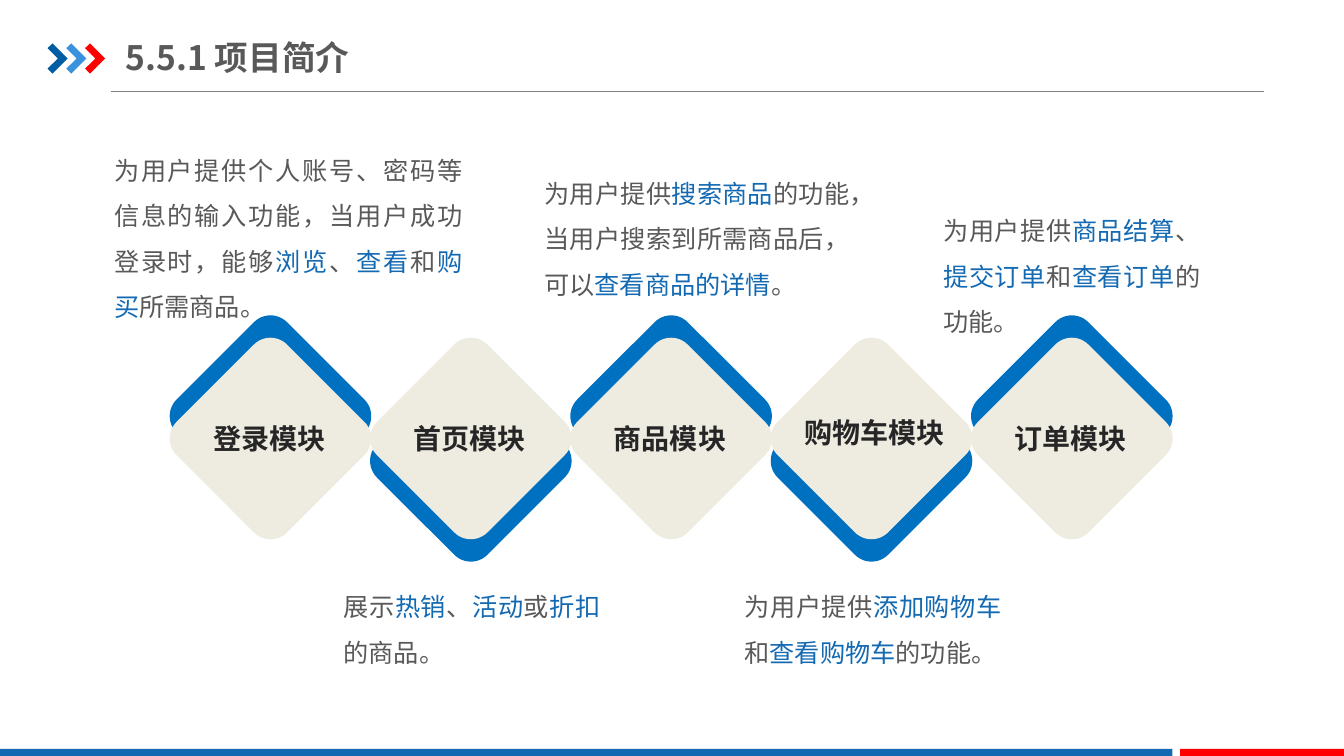
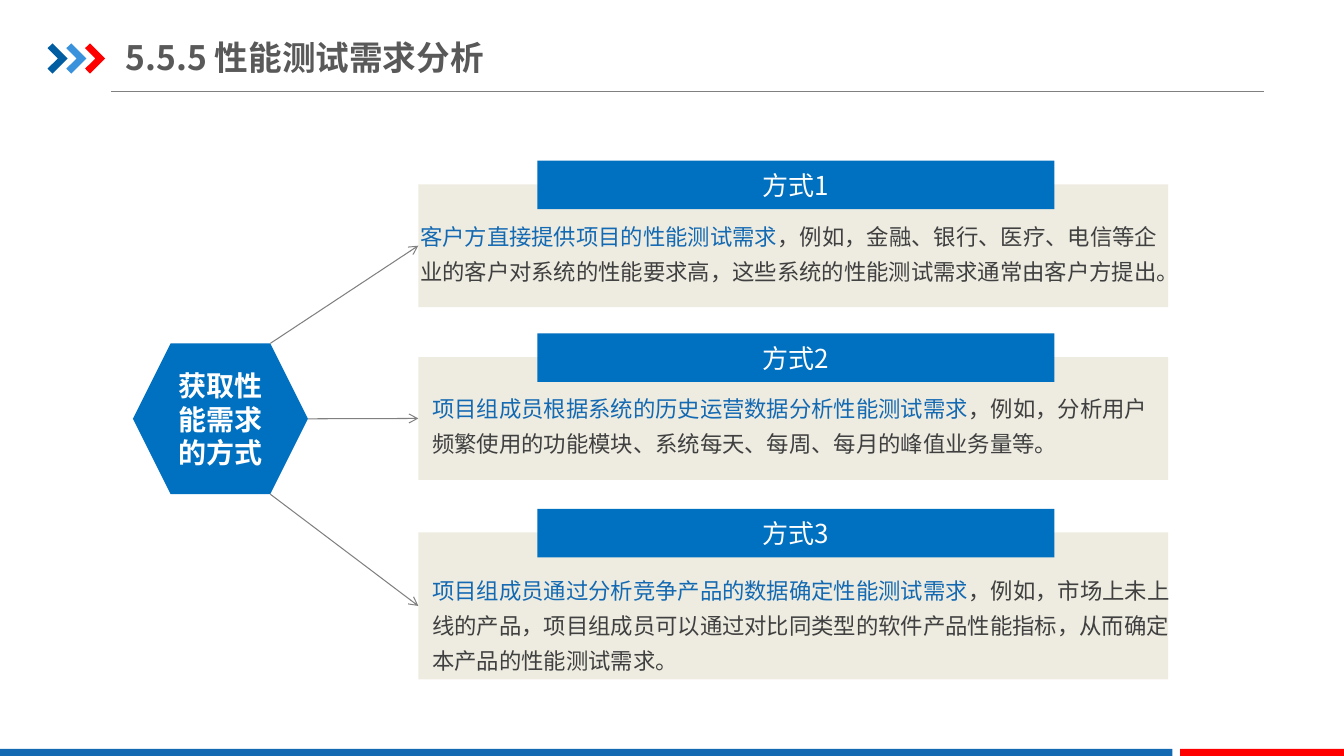
from dataclasses import dataclass
from typing import Any

from lxml import etree
from pptx import Presentation
from pptx.dml.color import RGBColor
from pptx.enum.shapes import MSO_CONNECTOR, MSO_SHAPE
from pptx.enum.text import MSO_ANCHOR, PP_ALIGN
from pptx.oxml.ns import qn
from pptx.util import Pt

RECTANGLE = MSO_SHAPE.RECTANGLE
ROUNDED = MSO_SHAPE.ROUNDED_RECTANGLE
HEXAGON = MSO_SHAPE.HEXAGON
STRAIGHT = MSO_CONNECTOR.STRAIGHT
MIDDLE, TOP = MSO_ANCHOR.MIDDLE, MSO_ANCHOR.TOP
LEFT, CENTER, JUSTIFY = PP_ALIGN.LEFT, PP_ALIGN.CENTER, PP_ALIGN.JUSTIFY

FONT = "Noto Sans CJK SC"
WHITE = RGBColor(0xFF, 0xFF, 0xFF)
RED = RGBColor(0xFF, 0x00, 0x00)
NAVY = RGBColor(0x00, 0x5D, 0xA2)
SKY = RGBColor(0x39, 0x92, 0xDB)
ACCENT = RGBColor(0x13, 0x69, 0xB2)
BLUE = RGBColor(0x00, 0x70, 0xC0)
BEIGE = RGBColor(0xEE, 0xEC, 0xE1)
GRAY = RGBColor(0x80, 0x80, 0x80)
TITLE_GRAY = RGBColor(0x59, 0x59, 0x59)
TEXT_GRAY = RGBColor(0x40, 0x40, 0x40)
LABEL_BLACK = RGBColor(0x26, 0x26, 0x26)

SLIDE_W, SLIDE_H = 960, 540
CHEVRON = [(0, 3.4), (3.6, 0), (14.4, 10.8), (3.6, 21.6), (0, 18), (7.4, 10.8)]
TITLE_BOX = {"left": Pt(90), "top": Pt(21), "width": Pt(667.5), "height": Pt(39.5)}

DIAMOND_SIDE = 111.6
DIAMOND_TOP = 257.4
DIAMOND_SHIFT = 16
DIAMOND_PITCH = 143.1
FIRST_CENTER = 193.2

PANEL_LEFT, PANEL_W = 298.8, 535.7
HEADER_LEFT, HEADER_W, HEADER_H, HEADER_RISE = 383.8, 369.4, 34.6, 16.8
HEX_LEFT, HEX_TOP, HEX_W, HEX_H = 95, 245.3, 125, 107.7


@dataclass(frozen=True)
class TextStyle:
    size: float
    color: RGBColor
    bold: bool = False
    align: Any = LEFT
    anchor: Any = TOP
    spacing: float = 1.0
    inset_x: float = 0
    inset_y: float = 0
    wrap: bool = True


TITLE = TextStyle(24, TITLE_GRAY, bold=True, anchor=MIDDLE, inset_y=5)
MODULE_LABEL = TextStyle(20, LABEL_BLACK, bold=True, align=CENTER, anchor=MIDDLE, wrap=False)
MODULE_NOTE = TextStyle(18, TITLE_GRAY, align=JUSTIFY, spacing=1.5)
METHOD_HEADER = TextStyle(18.6, WHITE, align=CENTER, anchor=MIDDLE, inset_x=7.2, inset_y=3.6)
METHOD_TEXT = TextStyle(16, TEXT_GRAY, spacing=1.3, inset_x=7.2, inset_y=3.6)
HUB = TextStyle(20, WHITE, bold=True, align=CENTER, anchor=MIDDLE, inset_x=7.2, inset_y=3.6)


@dataclass(frozen=True)
class Module:
    name: str
    note: str
    left: float
    top: float
    width: float
    height: float
    label_dx: float = -0.8
    label_dy: float = 0


@dataclass(frozen=True)
class Method:
    name: str
    text: str
    panel_top: float
    panel_height: float
    text_left: float
    text_top: float
    text_width: float
    text_height: float


MODULES = [
    Module("登录模块", "为用户提供个人账号、密码等信息的输入功能，当用户成功登录时，能够*浏览*、*查看*和*购买*所需商品。",
           81.5, 100, 249, 134.6),
    Module("首页模块", "展示*热销*、*活动*或*折扣*的商品。", 245.3, 411.8, 183.6, 65.5),
    Module("商品模块", "为用户提供*搜索商品*的功能，当用户搜索到所需商品后，可以*查看商品的详情*。",
           388.8, 116.6, 218.2, 98),
    Module("购物车模块", "为用户提供*添加购物车*和*查看购物车*的功能。", 531.8, 411.8, 183.6, 65.5, 2.5, -4),
    Module("订单模块", "为用户提供*商品结算*、*提交订单*和*查看订单*的功能。", 673.8, 143.3, 183.6, 98),
]

METHODS = [
    Method("方式1", "*客户方直接提供项目的性能测试需求*，例如，金融、银行、医疗、电信等企业的客户对系统的性能要求高，"
           "这些系统的性能测试需求通常由客户方提出。", 131.6, 87.8, 293, 149.8, 553, 57.6),
    Method("方式2", "*项目组成员根据系统的历史运营数据分析性能测试需求*，例如，分析用户频繁使用的功能模块、"
           "系统每天、每周、每月的峰值业务量等。", 255, 87.8, 301.7, 273.3, 535.7, 57.6),
    Method("方式3", "*项目组成员通过分析竞争产品的数据确定性能测试需求*，例如，市场上未上线的产品，"
           "项目组成员可以通过对比同类型的软件产品性能指标，从而确定本产品的性能测试需求。",
           380.3, 105.1, 301.7, 402.8, 544.3, 82.8),
]


def apply(target: Any, values: dict[str, Any]) -> None:
    for attribute, value in values.items():
        setattr(target, attribute, value)


def write(holder: Any, marked: str, style: TextStyle) -> None:
    frame = holder.text_frame
    apply(frame, {
        "word_wrap": style.wrap, "vertical_anchor": style.anchor,
        "margin_left": Pt(style.inset_x), "margin_right": Pt(style.inset_x),
        "margin_top": Pt(style.inset_y), "margin_bottom": Pt(style.inset_y),
    })
    paragraph = frame.paragraphs[0]
    apply(paragraph, {"alignment": style.align, "line_spacing": style.spacing})
    for index, part in enumerate(marked.split("*")):
        if not part:
            continue
        run = paragraph.add_run()
        run.text = part
        apply(run.font, {"size": Pt(style.size), "bold": style.bold, "name": FONT})
        run.font.color.rgb = ACCENT if index % 2 else style.color
        etree.SubElement(run._r.get_or_add_rPr(), qn("a:ea"), typeface=FONT)


def add_text(slide: Any, left: float, top: float, width: float, height: float,
             marked: str, style: TextStyle) -> None:
    write(slide.shapes.add_textbox(Pt(left), Pt(top), Pt(width), Pt(height)), marked, style)


def paint(shape: Any, color: RGBColor) -> Any:
    shape.shadow.inherit = False
    shape.fill.solid()
    shape.fill.fore_color.rgb = color
    shape.line.fill.background()
    return shape


def add_block(slide: Any, kind: Any, left: float, top: float, width: float, height: float,
              color: RGBColor) -> Any:
    return paint(slide.shapes.add_shape(kind, Pt(left), Pt(top), Pt(width), Pt(height)), color)


def add_line(slide: Any, start: tuple[float, float], end: tuple[float, float],
             arrow: bool = False) -> Any:
    line = slide.shapes.add_connector(STRAIGHT, *map(Pt, start + end))
    line.line.color.rgb = GRAY
    line.line.width = Pt(0.75)
    properties = line.element.spPr
    if arrow:
        etree.SubElement(properties.find(qn("a:ln")), qn("a:tailEnd"), type="arrow")
    etree.SubElement(properties, qn("a:effectLst"))
    return line


def add_chevron(slide: Any, left: float, top: float, color: RGBColor) -> Any:
    corners = [(Pt(left + x), Pt(top + y)) for x, y in CHEVRON]
    builder = slide.shapes.build_freeform(*corners[0])
    builder.add_line_segments(corners[1:], close=True)
    return paint(builder.convert_to_shape(), color)


def furnish_layout(layout: Any, slide: Any) -> None:
    for placeholder in list(layout.placeholders):
        if placeholder.placeholder_format.idx:
            layout.shapes.element.remove(placeholder.element)
        else:
            apply(placeholder, TITLE_BOX)
    furniture = [add_line(slide, (79.2, 65.5), (903, 65.5))]
    for index, color in enumerate((NAVY, SKY, RED)):
        furniture.append(add_chevron(slide, 34 + 13.4 * index, 31, color))
    for left, right, color in ((0, 837.4, ACCENT), (843, SLIDE_W, RED)):
        furniture.append(add_block(slide, RECTANGLE, left, 535, right - left, SLIDE_H - 535, color))
    for part in furniture:
        layout.shapes.element.append(part.element)


def draw_modules(slide: Any) -> None:
    for index, module in enumerate(MODULES):
        center = FIRST_CENTER + DIAMOND_PITCH * index
        shift, rotation = (DIAMOND_SHIFT, 135) if index % 2 else (-DIAMOND_SHIFT, 315)
        for top, color in ((DIAMOND_TOP + shift, BLUE), (DIAMOND_TOP, BEIGE)):
            diamond = add_block(slide, ROUNDED, center - DIAMOND_SIDE / 2, top,
                                DIAMOND_SIDE, DIAMOND_SIDE, color)
            diamond.rotation = rotation
            diamond.adjustments[0] = 0.15
    for index, module in enumerate(MODULES):
        center = FIRST_CENTER + DIAMOND_PITCH * index
        add_text(slide, center - 60 + module.label_dx, 302.4 + module.label_dy, 120, 21,
                 module.name, MODULE_LABEL)
        add_text(slide, module.left, module.top, module.width, module.height,
                 module.note, MODULE_NOTE)


def draw_methods(slide: Any) -> None:
    hub = add_block(slide, HEXAGON, HEX_LEFT, HEX_TOP, HEX_W, HEX_H, BLUE)
    write(hub, "获取性能需求的方式", HUB)
    right = HEX_LEFT + HEX_W
    corner = right - HEX_H / 4
    starts = [(corner, HEX_TOP), (right, HEX_TOP + HEX_H / 2), (corner, HEX_TOP + HEX_H)]
    for method, start in zip(METHODS, starts):
        panel = add_block(slide, RECTANGLE, PANEL_LEFT, method.panel_top, PANEL_W,
                          method.panel_height, BEIGE)
        header = add_block(slide, RECTANGLE, HEADER_LEFT, method.panel_top - HEADER_RISE,
                           HEADER_W, HEADER_H, BLUE)
        write(header, method.name, METHOD_HEADER)
        middle = method.panel_top + method.panel_height / 2
        add_line(slide, start, (PANEL_LEFT, middle), arrow=True).end_connect(panel, 1)
        add_text(slide, method.text_left, method.text_top, method.text_width,
                 method.text_height, method.text, METHOD_TEXT)


def main() -> None:
    deck = Presentation()
    apply(deck, {"slide_width": Pt(SLIDE_W), "slide_height": Pt(SLIDE_H)})
    layout = deck.slide_layouts[5]
    pages = [("5.5.1 项目简介", draw_modules), ("5.5.5 性能测试需求分析", draw_methods)]
    for index, (heading, draw) in enumerate(pages):
        slide = deck.slides.add_slide(layout)
        if index == 0:
            furnish_layout(layout, slide)
        write(slide.shapes.title, heading, TITLE)
        draw(slide)
    deck.save("out.pptx")


if __name__ == "__main__":
    main()
